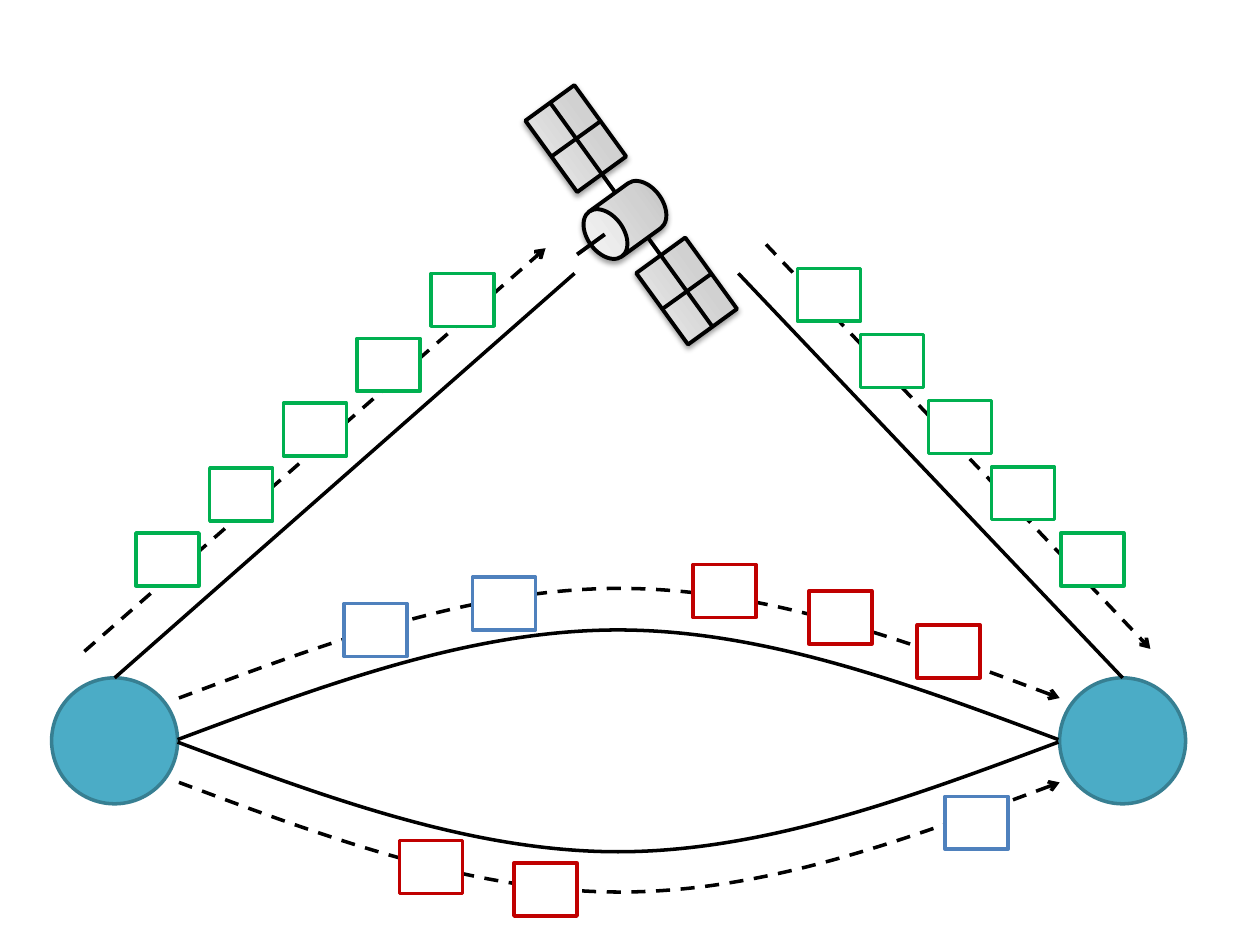
"""Draw two ground stations joined by a satellite hop and two terrestrial paths."""
from typing import NamedTuple

from lxml import etree
from pptx import Presentation
from pptx.dml.color import RGBColor
from pptx.enum.dml import MSO_LINE
from pptx.enum.shapes import MSO_CONNECTOR, MSO_SHAPE
from pptx.oxml import parse_xml
from pptx.oxml.ns import nsdecls, qn
from pptx.util import Inches, Pt

STRAIGHT = MSO_CONNECTOR.STRAIGHT
RECTANGLE, OVAL, CAN = MSO_SHAPE.RECTANGLE, MSO_SHAPE.OVAL, MSO_SHAPE.CAN
DASH = MSO_LINE.DASH
BLACK = RGBColor(0x00, 0x00, 0x00)
WHITE = RGBColor(0xFF, 0xFF, 0xFF)
GREEN = RGBColor(0x00, 0xB0, 0x50)
RED = RGBColor(0xC0, 0x00, 0x00)
BLUE = RGBColor(0x4F, 0x81, 0xBD)
TEAL = RGBColor(0x4B, 0xAC, 0xC6)
DARK_TEAL = RGBColor(0x37, 0x7F, 0x92)
METAL_STOPS = ((0, "BDBDBD"), (35, "D1D1D1"), (100, "EEEEEE"))
ARC_WIDTH = 6.99
THICK = 2.25


class Link(NamedTuple):
    x1: float
    y1: float
    x2: float
    y2: float
    width: float = 2
    dashed: bool = False


class Arc(NamedTuple):
    left: float
    base: float
    bulge: float
    dashed: bool = False


class Part(NamedTuple):
    kind: MSO_SHAPE
    left: float
    top: float
    width: float
    height: float


class Packet(NamedTuple):
    left: float
    top: float
    color: RGBColor


def stroke(shape, color: RGBColor, width: float, arrow: bool = False) -> None:
    """Set the outline, dashed and pointed when it is a traffic arrow."""
    shape.line.color.rgb = color
    shape.line.width = Pt(width)
    if arrow:
        shape.line.dash_style = DASH
        outline = shape.element.spPr.find(qn("a:ln"))
        etree.SubElement(outline, qn("a:tailEnd"), type="arrow")


def draw_link(page, link: Link) -> None:
    """Draw a straight line."""
    ends = map(Inches, link[:4])
    connector = page.shapes.add_connector(STRAIGHT, *ends)
    stroke(connector, BLACK, link.width, link.dashed)
    etree.SubElement(connector.element.spPr, qn("a:effectLst"))


def draw_arc(page, arc: Arc) -> None:
    """Draw a bulging path made of two cubic curves."""
    rises = (0, 0.5, 1, 1, 1, 0.5, 0)
    points = [
        (Inches(arc.left + i * ARC_WIDTH / 6), Inches(arc.base + rise * arc.bulge))
        for i, rise in enumerate(rises)
    ]
    builder = page.shapes.build_freeform(*points[0])
    builder.add_line_segments(points[1:], close=False)
    curve = builder.convert_to_shape()
    curve.shadow.inherit = False
    curve.fill.background()
    stroke(curve, BLACK, 2, arc.dashed)
    outline = next(curve.element.iter(qn("a:path")))
    segments = outline.findall(qn("a:lnTo"))
    for start in (0, 3):
        bezier = etree.SubElement(outline, qn("a:cubicBezTo"))
        for segment in segments[start:start + 3]:
            bezier.append(segment[0])
            outline.remove(segment)


def draw_shape(page, part: Part, fill: RGBColor, line: RGBColor, width: float = 2):
    """Draw a filled and outlined preset shape."""
    shape = page.shapes.add_shape(part.kind, *map(Inches, part[1:]))
    shape.shadow.inherit = False
    shape.fill.solid()
    shape.fill.fore_color.rgb = fill
    stroke(shape, line, width)
    return shape


def draw_metal(page, part: Part) -> None:
    """Draw a tilted satellite part with a grey gradient and a soft shadow."""
    shape = draw_shape(page, part, WHITE, BLACK, THICK)
    shape.rotation = 54
    if part.kind == CAN:
        shape.adjustments[0] = 0.653
    properties = shape.element.spPr
    properties.find(qn("a:xfrm")).set("flipV", "1")
    stops = "".join(
        f'<a:gs pos="{place * 1000}"><a:srgbClr val="{color}"/></a:gs>'
        for place, color in METAL_STOPS
    )
    gradient = parse_xml(
        f'<a:gradFill {nsdecls("a")} rotWithShape="1"><a:gsLst>{stops}</a:gsLst>'
        '<a:lin ang="16200000" scaled="0"/></a:gradFill>'
    )
    properties.replace(properties.find(qn("a:solidFill")), gradient)
    properties.find(qn("a:effectLst")).append(parse_xml(
        f'<a:outerShdw {nsdecls("a")} blurRad="40000" dist="20000" dir="5400000" '
        'rotWithShape="0"><a:srgbClr val="000000"><a:alpha val="38000"/>'
        '</a:srgbClr></a:outerShdw>'
    ))


TRAFFIC_LINKS = (
    Link(0.67, 5.17, 4.33, 1.97, dashed=True),
    Link(6.08, 1.94, 9.13, 5.15, dashed=True),
)
TRAFFIC_ARCS = (Arc(1.42, 6.21, 0.87, True), Arc(1.42, 5.54, -0.87, True))
PANELS = (Part(RECTANGLE, 4.22, 0.86, 0.7, 0.48), Part(RECTANGLE, 5.1, 2.07, 0.7, 0.48))
STRUTS = (
    Link(4.37, 0.82, 5.66, 2.6, THICK),
    Link(4.38, 1.24, 4.77, 0.96, THICK),
    Link(5.26, 2.45, 5.65, 2.17, THICK),
)
BODY = Part(CAN, 4.74, 1.41, 0.44, 0.67)
ANTENNA = Link(4.8, 1.86, 4.58, 2.02, THICK)
STATION_LEFTS = (0.41, 8.41)
PATH_ARCS = (Arc(1.41, 5.87, -0.87), Arc(1.41, 5.89, 0.87))
PATH_LINKS = (Link(0.91, 5.38, 4.56, 2.17), Link(8.91, 5.38, 5.86, 2.17))
UPLINK = [Packet(1.08 + i * 0.585, 4.23 - i * 0.515, GREEN) for i in range(5)]
DOWNLINK = [
    Packet(left, 2.13 + i * 0.525, GREEN)
    for i, left in enumerate((6.33, 6.83, 7.37, 7.87, 8.42))
]
GROUND = [
    Packet(2.73, 4.79, BLUE), Packet(3.75, 4.58, BLUE), Packet(7.5, 6.32, BLUE),
    Packet(5.5, 4.48, RED), Packet(6.42, 4.69, RED), Packet(7.28, 4.96, RED),
    Packet(3.17, 6.67, RED), Packet(4.08, 6.85, RED),
]

deck = Presentation()
deck.slide_width, deck.slide_height = Inches(10), Inches(7.5)
page = deck.slides.add_slide(deck.slide_layouts[6])

for link in TRAFFIC_LINKS:
    draw_link(page, link)
for arc in TRAFFIC_ARCS:
    draw_arc(page, arc)
for panel in PANELS:
    draw_metal(page, panel)
for strut in STRUTS:
    draw_link(page, strut)
draw_metal(page, BODY)
draw_link(page, ANTENNA)
for left in STATION_LEFTS:
    draw_shape(page, Part(OVAL, left, 5.38, 1, 1), TEAL, DARK_TEAL)
for arc in PATH_ARCS:
    draw_arc(page, arc)
for link in PATH_LINKS:
    draw_link(page, link)
for packet in UPLINK + DOWNLINK + GROUND:
    box = Part(RECTANGLE, packet.left, packet.top, 0.5, 0.42)
    draw_shape(page, box, WHITE, packet.color)

deck.save("out.pptx")
